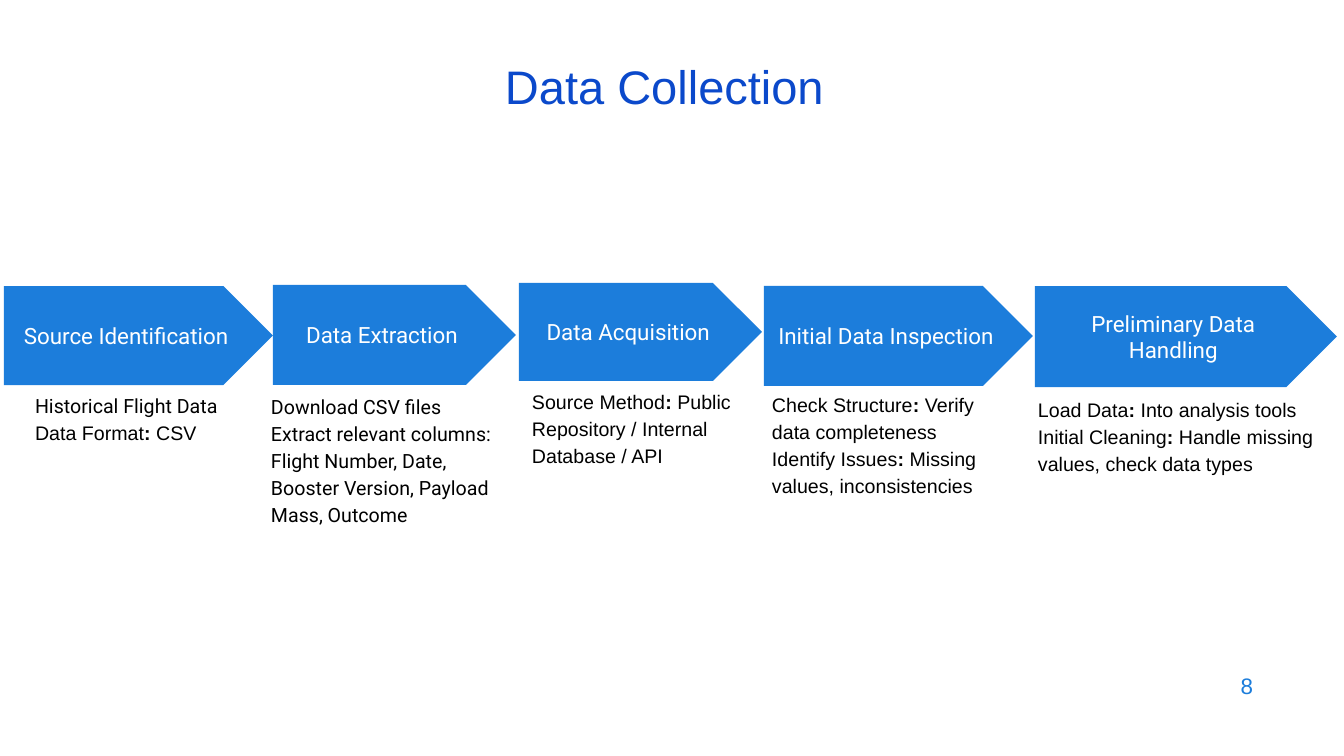
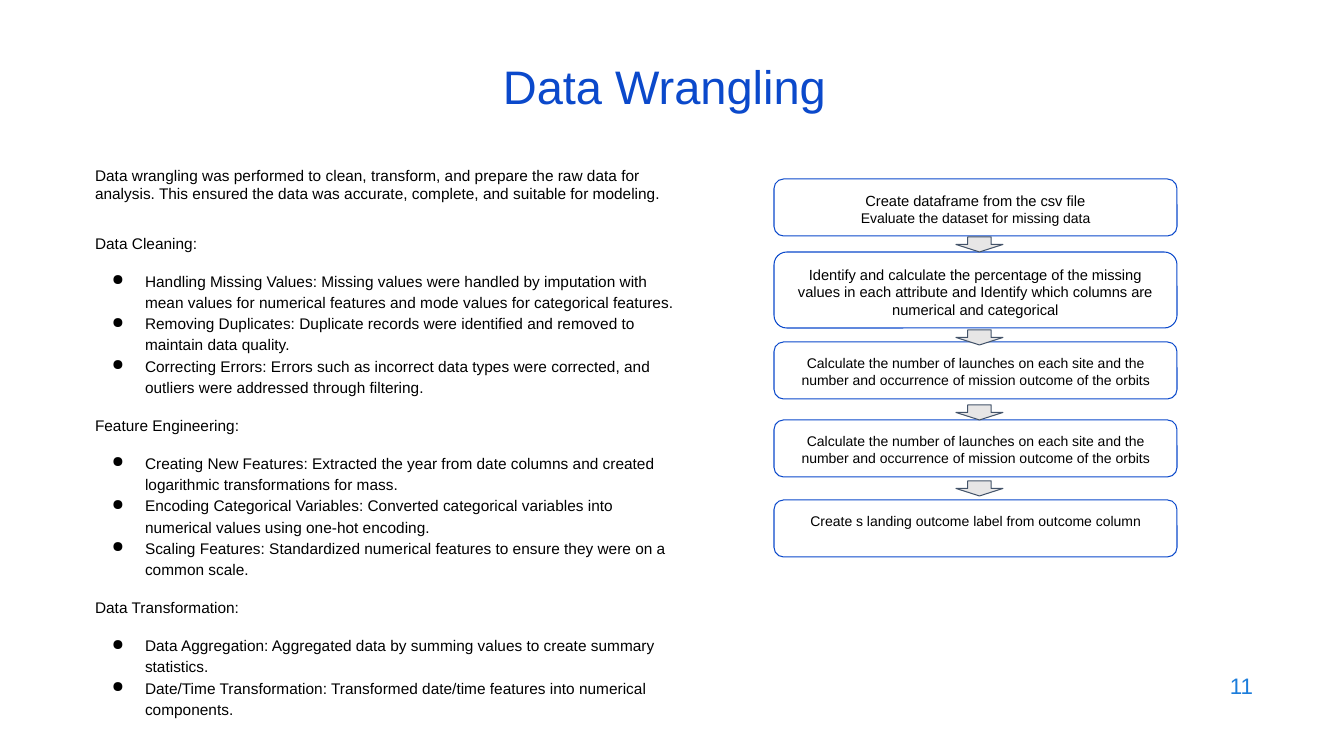
"""Build the data collection and data wrangling slides."""
from dataclasses import dataclass

from lxml import etree
from pptx import Presentation
from pptx.dml.color import RGBColor
from pptx.enum.shapes import MSO_SHAPE
from pptx.enum.text import MSO_ANCHOR, MSO_AUTO_SIZE, PP_ALIGN
from pptx.oxml.ns import qn
from pptx.util import Emu, Pt

LEFT, CENTER, RIGHT = PP_ALIGN.LEFT, PP_ALIGN.CENTER, PP_ALIGN.RIGHT
TOP, MIDDLE = MSO_ANCHOR.TOP, MSO_ANCHOR.MIDDLE
NO_FIT = MSO_AUTO_SIZE.NONE
CHEVRON = MSO_SHAPE.PENTAGON
STEP_BOX = MSO_SHAPE.FLOWCHART_ALTERNATE_PROCESS
DOWN_ARROW = MSO_SHAPE.DOWN_ARROW


@dataclass(frozen=True)
class Theme:
    """Hold the colours, fonts and type sizes of the deck."""
    title: str = "0B49CB"
    accent: str = "1C7DDB"
    text: str = "000000"
    light: str = "FFFFFF"
    arrow: str = "E7E6E6"
    arrow_line: str = "44546A"
    sans: str = "Arial"
    display: str = "Roboto"
    title_size: float = 33.6
    label_size: float = 16
    note_size: float = 14
    body_size: float = 11
    step_size: float = 10
    step_large: float = 10.5
    line: float = 0.75
    leading: float = 1.15


T = Theme()
PX = 914400 / 100.8
SLIDE_SIZE = (1344, 756)
TITLE_BOX = (85, 59, 1159, 60)
NUMBER_BOX = (961, 664, 302, 44)
BODY_BOX = (85, 161, 605, 558)
BODY_INSETS = (10, 5)
NOTE_INSETS = (13, 13)
STEP_INSETS = (10, 10)

COLLECTION = {"title": "Data Collection", "number": "8"}
STAGES = [
    ("Source Identification", (4, 286, 269, 99), (22, 377, 243, 93),
     [("", "Historical Flight Data"), ("Data Format", " CSV")]),
    ("Data Extraction", (273, 285, 243, 100), (258, 378, 260, 213),
     [("", "Download CSV files"),
      ("", "Extract relevant columns: Flight Number, Date, "
           "Booster Version, Payload Mass, Outcome")]),
    ("Data Acquisition", (519, 283, 243, 98), (519, 373, 260, 204),
     [("Source Method", " Public Repository / Internal Database / API")]),
    ("Initial Data Inspection", (764, 286, 269, 100), (759, 376, 260, 174),
     [("Check Structure", " Verify data completeness"),
      ("Identify Issues", " Missing values, inconsistencies")]),
    ("Preliminary Data Handling", (1035, 286, 302, 101), (1025, 381, 302, 109),
     [("Load Data", " Into analysis tools"),
      ("Initial Cleaning", " Handle missing values, check data types")]),
]

WRANGLING = {"title": "Data Wrangling", "number": "11"}
INTRO = ("Data wrangling was performed to clean, transform, and prepare the raw "
         "data for analysis. This ensured the data was accurate, complete, and "
         "suitable for modeling.")
TOPICS = [
    ("Data Cleaning:", [
        "Handling Missing Values: Missing values were handled by imputation with "
        "mean values for numerical features and mode values for categorical "
        "features.",
        "Removing Duplicates: Duplicate records were identified and removed to "
        "maintain data quality.",
        "Correcting Errors: Errors such as incorrect data types were corrected, "
        "and outliers were addressed through filtering."]),
    ("Feature Engineering:", [
        "Creating New Features: Extracted the year from date columns and created "
        "logarithmic transformations for mass.",
        "Encoding Categorical Variables: Converted categorical variables into "
        "numerical values using one-hot encoding.",
        "Scaling Features: Standardized numerical features to ensure they were "
        "on a common scale."]),
    ("Data Transformation:", [
        "Data Aggregation: Aggregated data by summing values to create summary "
        "statistics.",
        "Date/Time Transformation: Transformed date/time features into numerical "
        "components."]),
]
LAUNCHES = ("Calculate the number of launches on each site and the number and "
            "occurrence of mission outcome of the orbits")
STEPS = [
    (179, 57, [("Create dataframe from the csv file", T.step_large),
               ("Evaluate the dataset for missing data", T.step_size)]),
    (252, 76, [("Identify and calculate the percentage of the missing values in "
                "each attribute and Identify which columns are numerical and "
                "categorical", T.step_large)]),
    (342, 57, [(LAUNCHES, T.step_size)]),
    (420, 57, [(LAUNCHES, T.step_size)]),
    (500, 57, [("Create s landing outcome label from outcome column",
                T.step_size)]),
]
STEP_LEFT, STEP_WIDTH = 774, 403
ARROW_LEFT, ARROW_WIDTH, ARROW_HEIGHT = 956, 47, 15
ARROW_TOPS = [237, 330, 405, 481]


def px(n):
    return Emu(round(n * PX))


def color(code):
    return RGBColor.from_string(code)


def set_frame(sp, insets, anchor=TOP):
    tf = sp.text_frame
    tf.word_wrap = True
    tf.auto_size = NO_FIT
    tf.vertical_anchor = anchor
    tf.margin_left = tf.margin_right = px(insets[0])
    tf.margin_top = tf.margin_bottom = px(insets[1])
    return tf


def add_paragraph(tf, first, align=LEFT, leading=None, before=0):
    p = tf.paragraphs[0] if first else tf.add_paragraph()
    p.alignment = align
    if leading:
        p.line_spacing = leading
    p.space_before = Pt(before)
    return p


def add_run(p, text, size, code=T.text, font=T.sans, bold=False):
    r = p.add_run()
    r.text = text
    r.font.size = Pt(size)
    r.font.name = font
    r.font.bold = bold
    r.font.color.rgb = color(code)


def add_bullet(p):
    pPr = p._p.get_or_add_pPr()
    pPr.set("marL", str(px(50)))
    pPr.set("indent", str(-px(33)))
    clr = etree.SubElement(pPr, qn("a:buClr"))
    etree.SubElement(clr, qn("a:srgbClr")).set("val", T.text)
    etree.SubElement(pPr, qn("a:buChar")).set("char", "●")


def add_text(shapes, box, insets, anchor=TOP):
    return set_frame(shapes.add_textbox(*map(px, box)), insets, anchor)


def add_shape(shapes, kind, box, fill=None, line=None):
    sp = shapes.add_shape(kind, *map(px, box))
    sp.shadow.inherit = False
    if fill:
        sp.fill.solid()
        sp.fill.fore_color.rgb = color(fill)
    else:
        sp.fill.background()
    if line:
        sp.line.color.rgb = color(line)
        sp.line.width = Pt(T.line)
    else:
        sp.line.fill.background()
    return sp


def add_slide(prs, head):
    s = prs.slides.add_slide(prs.slide_layouts[5])
    sp = s.shapes.title
    sp.left, sp.top, sp.width, sp.height = map(px, TITLE_BOX)
    tf = set_frame(sp, BODY_INSETS, MIDDLE)
    add_run(add_paragraph(tf, True, CENTER, 0.9), head["title"],
            T.title_size, T.title)
    tf = add_text(s.shapes, NUMBER_BOX, BODY_INSETS, MIDDLE)
    add_run(add_paragraph(tf, True, RIGHT), head["number"],
            T.label_size, T.accent)
    return s


def add_stage(s, name, chevron, note, lines):
    shapes = s.shapes.add_group_shape().shapes
    sp = add_shape(shapes, CHEVRON, chevron, T.accent)
    tf = set_frame(sp, NOTE_INSETS, MIDDLE)
    add_run(add_paragraph(tf, True, CENTER), name, T.label_size, T.light, T.display)
    tf = add_text(shapes, note, NOTE_INSETS)
    for i, (label, text) in enumerate(lines):
        p = add_paragraph(tf, i == 0, leading=T.leading)
        if label:
            add_run(p, label, T.note_size)
            add_run(p, ":", T.note_size, bold=True)
        add_run(p, text, T.note_size, font=T.sans if label else T.display)


def add_topics(s):
    tf = add_text(s.shapes, BODY_BOX, BODY_INSETS)
    add_run(add_paragraph(tf, True), INTRO, T.body_size)
    for i, (heading, items) in enumerate(TOPICS):
        leading, before = (T.leading, 12) if i else (None, 22)
        p = add_paragraph(tf, False, leading=leading, before=before)
        add_run(p, heading, T.body_size)
        for j, item in enumerate(items):
            p = add_paragraph(tf, False, leading=T.leading,
                              before=0 if j else 12)
            add_bullet(p)
            add_run(p, item, T.body_size)


def add_flow(s):
    for top, height, lines in STEPS:
        box = (STEP_LEFT, top, STEP_WIDTH, height)
        sp = add_shape(s.shapes, STEP_BOX, box, line=T.title)
        tf = set_frame(sp, STEP_INSETS)
        for i, (text, size) in enumerate(lines):
            add_run(add_paragraph(tf, i == 0, CENTER), text, size)
    for top in ARROW_TOPS:
        box = (ARROW_LEFT, top, ARROW_WIDTH, ARROW_HEIGHT)
        add_shape(s.shapes, DOWN_ARROW, box, T.arrow, T.arrow_line)


def main():
    prs = Presentation()
    prs.slide_width, prs.slide_height = map(px, SLIDE_SIZE)
    s = add_slide(prs, COLLECTION)
    for stage in STAGES:
        add_stage(s, *stage)
    s = add_slide(prs, WRANGLING)
    add_topics(s)
    add_flow(s)
    prs.save("out.pptx")


if __name__ == "__main__":
    main()
